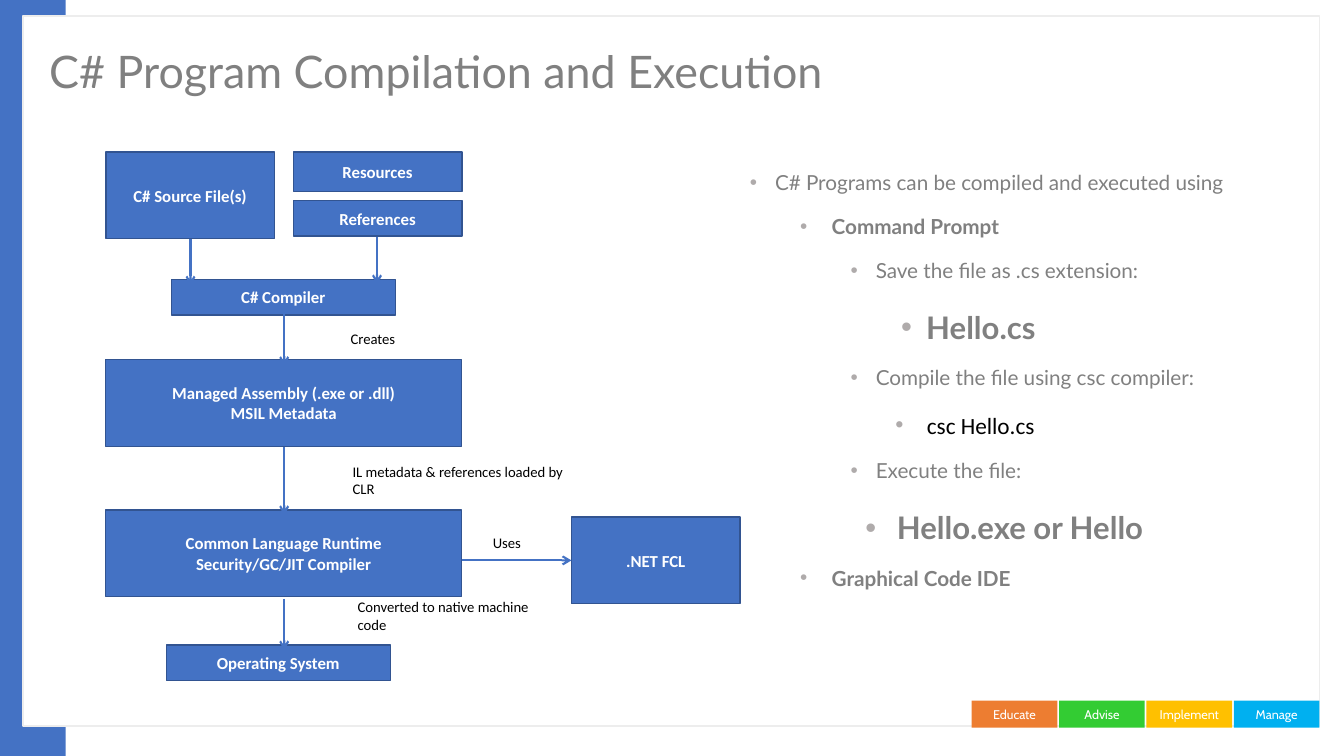
from lxml.etree import SubElement
from pptx import Presentation
from pptx.dml.color import RGBColor
from pptx.enum.shapes import MSO_CONNECTOR, MSO_SHAPE
from pptx.enum.text import MSO_ANCHOR, PP_ALIGN
from pptx.oxml.ns import qn
from pptx.util import Pt

BLUE = "4472C4"
NAVY = "325491"
GREY = "808080"
WHITE = "FFFFFF"

BOXES = [
    ("C# Source File(s)", 75.6, 108.7, 120.4, 61.9),
    ("Resources", 209.5, 108.7, 120.4, 28.1),
    ("References", 209.5, 143.3, 120.4, 25.4),
    ("C# Compiler", 122.4, 199.6, 160, 25.4),
    ("Managed Assembly (.exe or .dll)\nMSIL Metadata", 75.6, 257, 254.2, 61.9),
    ("Common Language Runtime\nSecurity/GC/JIT Compiler", 75.6, 364.3, 254.2, 61.9),
    (".NET FCL", 408.2, 369.4, 120.4, 61.9),
    ("Operating System", 118.8, 460.8, 160, 25.4),
]
LABELS = [
    ("Creates", 243.4, 231.8, 66.2, 23),
    ("IL metadata & references loaded by CLR", 244.8, 326.9, 169.9, 38.2),
    ("Uses", 344.9, 378, 63.4, 23),
    ("Converted to native machine code", 248.4, 423.4, 137.5, 38.2),
]
ARROWS = [
    (136.1, 170.6, 136.1, 203.8),
    (269.3, 169.2, 269.3, 203),
    (203, 224.6, 203, 261.4),
    (203, 319, 203, 367.9),
    (203, 427.7, 203, 464.4),
    (329.8, 400.3, 408.2, 400.3),
]
TAGS = [("Educate", "ED7D31"), ("Advise", "33CC33"),
        ("Implement", "FFC000"), ("Manage", "00B0F0")]
STEPS = [
    ("C# Programs can be compiled and executed using", 0, 18, 18, 14.8, False),
    ("Command Prompt", 1, 58.5, 22.5, 14.8, True),
    ("Save the file as .cs extension:", 2, 90, 18, 14.8, False),
    ("Hello.cs", 3, 126, 18, 22.2, True),
    ("Compile the file using csc compiler:", 2, 90, 18, 14.8, False),
    ("csc Hello.cs", 5, 126.5, 22.5, 16.6, False),
    ("Execute the file:", 2, 90, 18, 14.8, False),
    ("Hello.exe or Hello", 4, 105, 22.5, 22.2, True),
    ("Graphical Code IDE", 1, 58.5, 22.5, 14.8, True),
]


def color(value):
    """Turn a hex string into a colour."""
    return RGBColor.from_string(value)


def style(para, font, size, ink, bold=False):
    """Format the runs of a paragraph."""
    for span in para.runs:
        span.font.name = font
        span.font.size = Pt(size)
        span.font.color.rgb = color(ink)
        span.font.bold = bold


def add_box(page, place, fill, line=None):
    """Add a flat rectangle."""
    box = page.shapes.add_shape(MSO_SHAPE.RECTANGLE, *map(Pt, place))
    box.shadow.inherit = False
    box.fill.solid()
    box.fill.fore_color.rgb = color(fill)
    if line:
        box.line.color.rgb = color(line)
        box.line.width = Pt(1)
    else:
        box.line.fill.background()
    return box


def add_caption(box, text, font, size, bold=False):
    """Write centred white text in a rectangle."""
    frame = box.text_frame
    frame.word_wrap = True
    frame.vertical_anchor = MSO_ANCHOR.MIDDLE
    frame.text = text
    for para in frame.paragraphs:
        para.alignment = PP_ALIGN.CENTER
        style(para, font, size, WHITE, bold)


def add_text(page, text, place, font, size, ink):
    """Add a wrapping text box and return its frame."""
    frame = page.shapes.add_textbox(*map(Pt, place)).text_frame
    frame.word_wrap = True
    frame.text = text
    for para in frame.paragraphs:
        style(para, font, size, ink)
    return frame


def add_bullet(para, margin, hanging):
    """Give a paragraph a grey hanging bullet."""
    props = para._p.get_or_add_pPr()
    props.set("marL", str(Pt(margin)))
    props.set("indent", str(-Pt(hanging)))
    tint = SubElement(props, qn("a:buClr"))
    SubElement(tint, qn("a:srgbClr"), val="AFABAB")
    SubElement(props, qn("a:buFont"), typeface="Arial")
    SubElement(props, qn("a:buChar"), char="•")


def add_steps(page):
    """Add the multilevel bullet list."""
    text = "\n".join(step[0] for step in STEPS)
    frame = add_text(page, text, (528.5, 108.7, 356.4, 355.7), "Lato", 14.8, GREY)
    for number, (para, step) in enumerate(zip(frame.paragraphs, STEPS)):
        _, level, margin, hanging, size, bold = step
        para.level = level
        add_bullet(para, margin, hanging)
        para.line_spacing = 1.5
        para.space_before = Pt(5 if number else 0)
        font, ink = ("Calibri", "000000") if level == 5 else ("Lato", GREY)
        style(para, font, size, ink, bold)


def add_arrow(page, ends):
    """Add a straight line with an open arrowhead at its end."""
    arrow = page.shapes.add_connector(MSO_CONNECTOR.STRAIGHT, *map(Pt, ends))
    arrow.line.color.rgb = color(BLUE)
    arrow.line.width = Pt(1.5)
    SubElement(arrow.line._get_or_add_ln(), qn("a:tailEnd"), type="arrow")
    SubElement(arrow._element.spPr, qn("a:effectLst"))


def main():
    """Build the slide and save the deck."""
    deck = Presentation()
    deck.slide_width, deck.slide_height = Pt(960), Pt(540)
    page = deck.slides.add_slide(deck.slide_layouts[6])

    add_box(page, (0, 0, 47, 540), BLUE)
    add_box(page, (16.5, 11.5, 926, 507), WHITE, "EDEDED")
    for number, (name, fill) in enumerate(TAGS):
        tag = add_box(page, (694.1 + 62.4 * number, 500.4, 61.2, 19.4), fill)
        add_caption(tag, name, "Cabin", 9)

    title = add_text(page, "C# Program Compilation and Execution",
                     (28.1, 21.6, 743, 62.6), "Lato", 32, GREY)
    title.vertical_anchor = MSO_ANCHOR.MIDDLE
    title.paragraphs[0].line_spacing = 0.9
    add_steps(page)

    for text, *place in BOXES:
        add_caption(add_box(page, place, BLUE, NAVY), text, "Calibri", 12, True)
    for text, *place in LABELS:
        add_text(page, text, place, "Calibri", 10.5, "000000")
    for ends in ARROWS:
        add_arrow(page, ends)

    deck.save("out.pptx")


if __name__ == "__main__":
    main()
